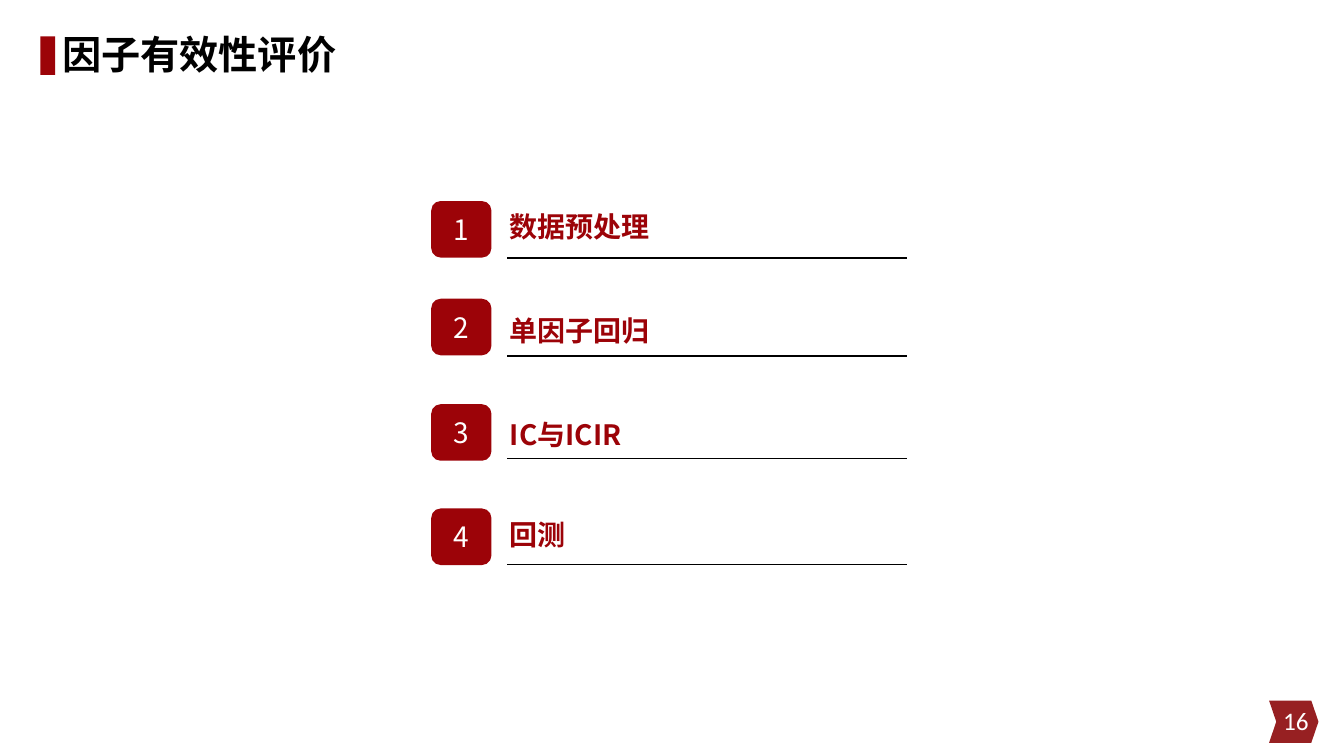
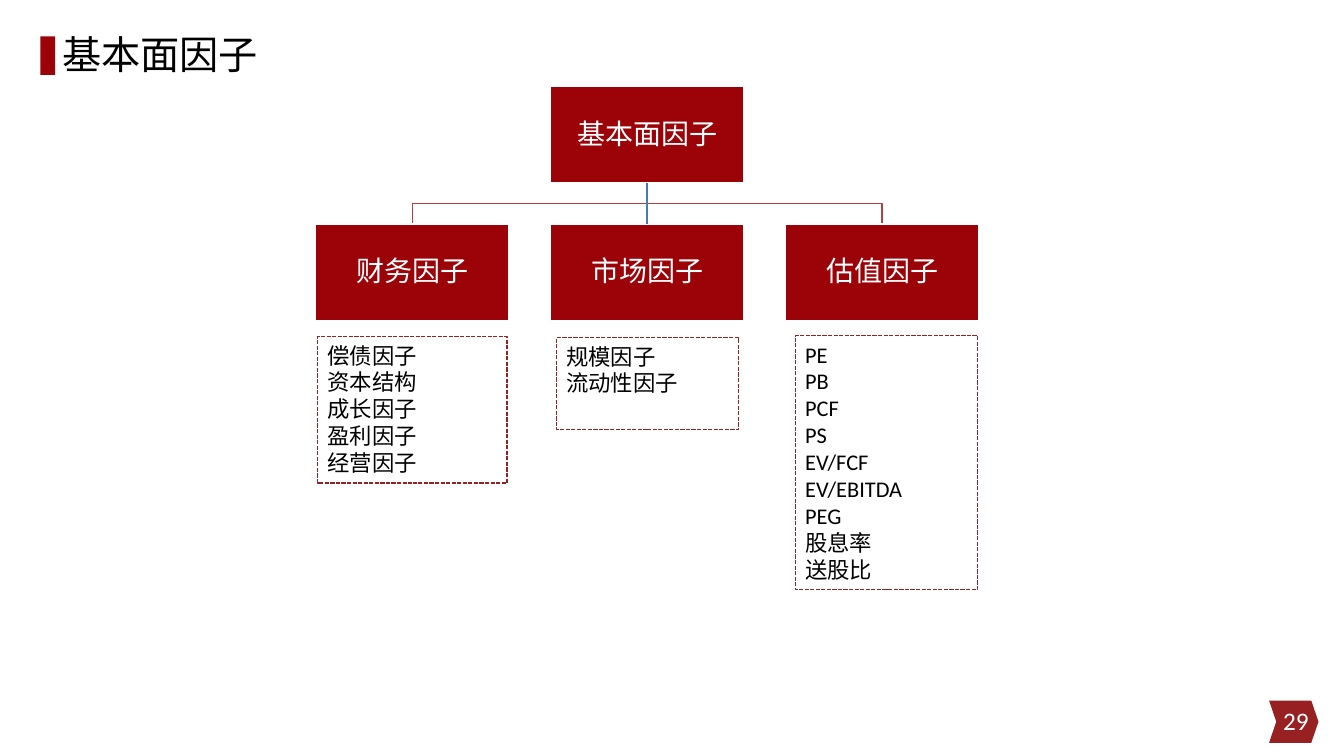
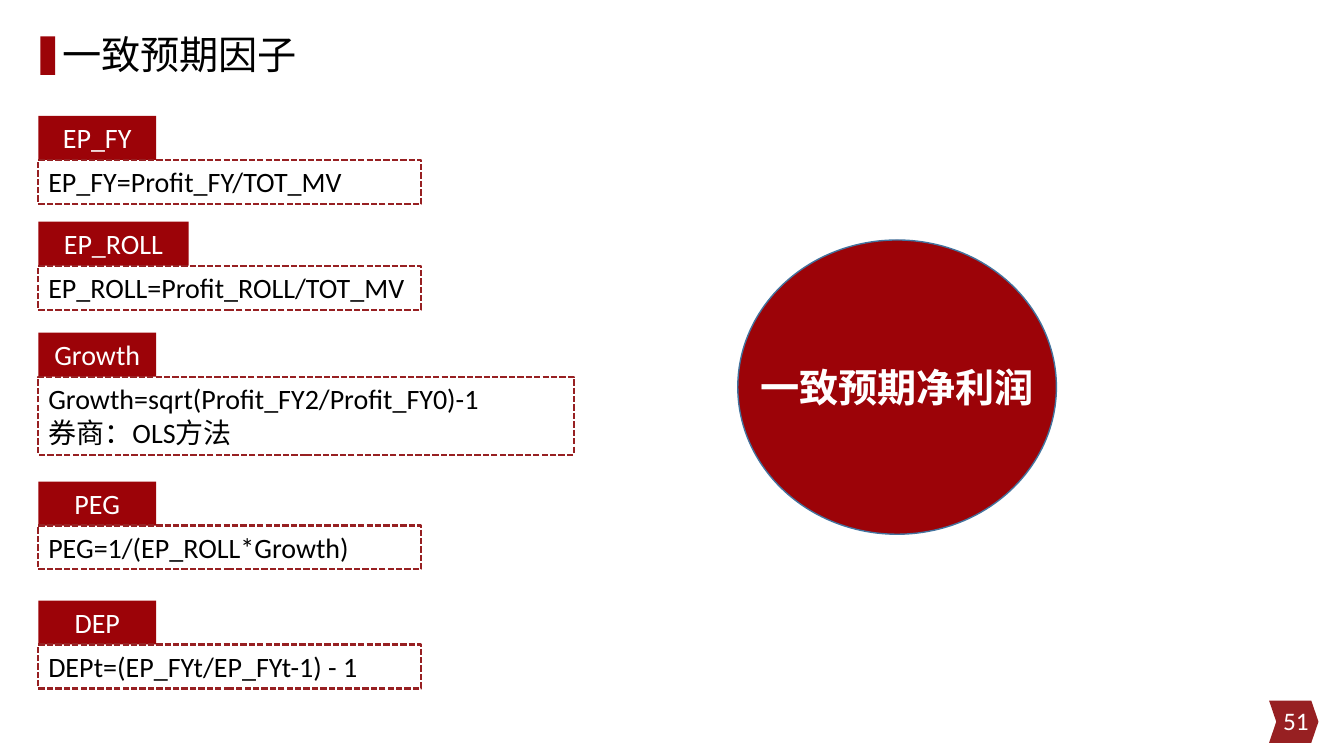
from lxml.etree import SubElement
from pptx import Presentation
from pptx.dml.color import RGBColor
from pptx.enum.dml import MSO_LINE
from pptx.enum.shapes import MSO_CONNECTOR, MSO_SHAPE as SHAPE
from pptx.enum.text import MSO_ANCHOR as ANCHOR, PP_ALIGN as ALIGN
from pptx.oxml.ns import qn
from pptx.util import Pt

RED, DARK_RED, BLACK, WHITE = "9C0308", "972022", "000000", "FFFFFF"
BRANCH_RED, TRUNK_BLUE, RIM_BLUE = "B23E3E", "497CAB", "43739E"
LATIN, CJK = "Calibri", "Noto Sans CJK SC"


def color(value):
    return RGBColor.from_string(value)


def set_line(line, value, width=1, dash=None):
    line.color.rgb = color(value)
    line.width = Pt(width)
    if dash:
        line.dash_style = dash


def write(box, text, size=20, ink=BLACK, font=LATIN, bold=False, align=ALIGN.LEFT,
          anchor=ANCHOR.TOP, spacing=None, inset=None, wrap=True):
    """Fill a shape with text, one paragraph for each line."""
    frame = box.text_frame
    frame.word_wrap = wrap
    frame.vertical_anchor = anchor
    if inset is not None:
        frame.margin_left = frame.margin_right = Pt(inset)
        frame.margin_top = frame.margin_bottom = Pt(inset)
    for index, line in enumerate(text.split("\n")):
        para = frame.add_paragraph() if index else frame.paragraphs[0]
        para.alignment = align
        if spacing:
            para.line_spacing = spacing
        span = para.add_run()
        span.text = line
        span.font.size = Pt(size)
        span.font.bold = bold
        span.font.name = font
        span.font.color.rgb = color(ink)
        SubElement(span.font._element, qn("a:ea"), typeface=CJK)


def add_text(page, left, top, width, height, text, **style):
    box = page.shapes.add_textbox(Pt(left), Pt(top), Pt(width), Pt(height))
    write(box, text, **style)
    return box


def add_shape(page, kind, left, top, width, height, fill=None, line=None, line_width=1, dash=None):
    shape = page.shapes.add_shape(kind, Pt(left), Pt(top), Pt(width), Pt(height))
    shape.shadow.inherit = False
    if fill:
        shape.fill.solid()
        shape.fill.fore_color.rgb = color(fill)
    else:
        shape.fill.background()
    if line:
        set_line(shape.line, line, line_width, dash)
    else:
        shape.line.fill.background()
    return shape


def add_dashed_box(page, left, top, width, height, text, size, line_width):
    box = add_shape(page, SHAPE.RECTANGLE, left, top, width, height,
                    line=DARK_RED, line_width=line_width, dash=MSO_LINE.SQUARE_DOT)
    write(box, text, size=size)


def add_straight(page, start, end, value):
    line = page.shapes.add_connector(MSO_CONNECTOR.STRAIGHT, *map(Pt, start + end))
    set_line(line.line, value)
    SubElement(line._element.spPr, qn("a:effectLst"))
    return line


def add_branch(page, points):
    builder = page.shapes.build_freeform(*map(Pt, points[0]))
    builder.add_line_segments([(Pt(x), Pt(y)) for x, y in points[1:]], close=False)
    branch = builder.convert_to_shape()
    branch.shadow.inherit = False
    branch.fill.background()
    set_line(branch.line, BRANCH_RED)


def add_page(deck, title, number, bold=False):
    """Add a blank slide with the shared title bar and page number."""
    page = deck.slides.add_slide(deck.slide_layouts[6])
    badge = add_shape(page, SHAPE.CHEVRON, 906.5, 500.4, 35.3, 30.2, fill=DARK_RED)
    badge.adjustments[0] = 0.17
    add_shape(page, SHAPE.RECTANGLE, 28.8, 26, 10.6, 27.6, fill=RED)
    add_text(page, 37.4, -1.4, 814, 84, title, size=28, font=CJK, bold=bold,
             anchor=ANCHOR.MIDDLE, spacing=0.9)
    add_text(page, 725.8, 500.4, 216, 28.8, str(number), size=18, ink=WHITE,
             align=ALIGN.RIGHT, anchor=ANCHOR.MIDDLE)
    return page


def build_agenda(deck):
    page = add_page(deck, "因子有效性评价", 16, bold=True)
    # heading, tops of badge, heading and rule
    rows = [("数据预处理", 143.6, 146.2, 184.3),
            ("单因子回归", 213.4, 220.4, 254.2),
            ("IC与ICIR", 288.7, 294.6, 327.6),
            ("回测", 363.2, 366, 403.2)]
    for number, (heading, badge_top, text_top, rule_top) in enumerate(rows, 1):
        badge = add_shape(page, SHAPE.ROUNDED_RECTANGLE, 308, badge_top, 43, 40.4, fill=RED)
        write(badge, str(number), ink=WHITE, font=CJK, align=ALIGN.CENTER, anchor=ANCHOR.MIDDLE)
        add_straight(page, (362.2, rule_top), (648, rule_top), BLACK)
        add_text(page, 357.1, text_top, 350.6, 31.5, heading, ink=RED, font=CJK, bold=True)


def build_tree(deck):
    page = add_page(deck, "基本面因子", 29)
    width, height, pitch = 138.2, 68.8, 167.8
    left, root_top, child_top = 225.4, 62, 160
    root_bottom = root_top + height

    def add_node(column, top, text):
        node = add_shape(page, SHAPE.RECTANGLE, left + column * pitch, top, width, height,
                         fill=RED, line=WHITE)
        write(node, text, ink=WHITE, align=ALIGN.CENTER, anchor=ANCHOR.MIDDLE,
              spacing=0.9, inset=0.9)
        return node

    def center(column):
        return left + column * pitch + width / 2

    elbow = (root_bottom + child_top) / 2
    for column in (0, 2):
        add_branch(page, [(center(1), root_bottom), (center(1), elbow),
                          (center(column), elbow), (center(column), child_top)])
    root = add_node(1, root_top, "基本面因子")
    children = [add_node(column, child_top, text)
                for column, text in enumerate(["财务因子", "市场因子", "估值因子"])]
    trunk = add_straight(page, (center(1), root_bottom), (center(1), child_top), TRUNK_BLUE)
    trunk.begin_connect(root, 2)
    trunk.end_connect(children[1], 0)

    lists = [(226.8, 240.5, 135.4, 104.4, "偿债因子\n资本结构\n成长因子\n盈利因子\n经营因子"),
             (397.4, 241.2, 130.3, 65.5, "规模因子\n流动性因子"),
             (568.1, 239.8, 130.3, 181.4,
              "PE\nPB\nPCF\nPS\nEV/FCF\nEV/EBITDA\nPEG\n股息率\n送股比")]
    for *frame, text in lists:
        add_dashed_box(page, *frame, text, size=16, line_width=1)


def build_formulas(deck):
    page = add_page(deck, "一致预期因子", 51)
    left, row_height = 27.4, 31.4
    # label, top, label width, formula width, formula height, formula
    formulas = [
        ("EP_FY", 82.8, 84.2, 273.6, row_height, "EP_FY=Profit_FY/TOT_MV"),
        ("EP_ROLL", 158.4, 107.3, 273.6, row_height, "EP_ROLL=Profit_ROLL/TOT_MV"),
        ("Growth", 237.6, 84.2, 382.3, 55.7,
         "Growth=sqrt(Profit_FY2/Profit_FY0)-1\n券商：OLS方法"),
        ("PEG", 344, 84.2, 273.6, row_height, "PEG=1/(EP_ROLL*Growth)"),
        ("DEP", 429, 84.2, 273.6, row_height, "DEPt=(EP_FYt/EP_FYt-1) - 1"),
    ]
    for label, top, label_width, width, height, formula in formulas:
        tab = add_shape(page, SHAPE.RECTANGLE, left, top, label_width, row_height, fill=RED)
        write(tab, label, ink=WHITE, align=ALIGN.CENTER)
        add_dashed_box(page, left, top + row_height, width, height, formula,
                       size=20, line_width=1.5)
    circle = add_shape(page, SHAPE.OVAL, 527, 171.4, 227.6, 210.2, fill=RED, line=RIM_BLUE)
    write(circle, "一致预期净利润", size=28, ink=WHITE, bold=True, align=ALIGN.CENTER,
          anchor=ANCHOR.MIDDLE, wrap=False)


def main():
    deck = Presentation()
    deck.slide_width, deck.slide_height = Pt(960), Pt(540)
    build_agenda(deck)
    build_tree(deck)
    build_formulas(deck)
    deck.save("out.pptx")


if __name__ == "__main__":
    main()
